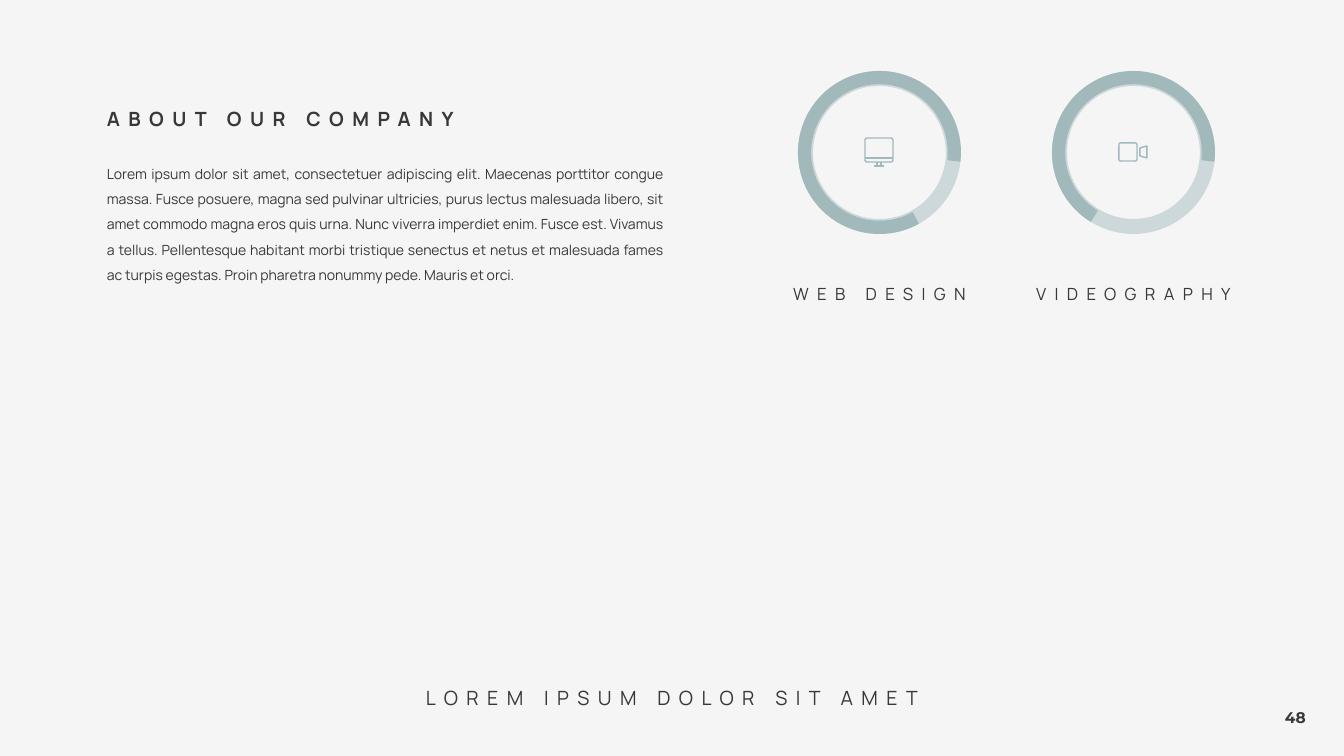
from lxml import etree
from pptx import Presentation
from pptx.dml.color import RGBColor
from pptx.enum.shapes import MSO_CONNECTOR, MSO_SHAPE
from pptx.enum.text import MSO_ANCHOR, MSO_AUTO_SIZE, PP_ALIGN
from pptx.oxml.ns import qn
from pptx.util import Pt

SLIDE_W, SLIDE_H = 1344, 756
EMU_PER_PX = 12192000 / SLIDE_W
COLORS = {"background": "F5F5F5", "ink": "38383A", "track": "CDD8DA", "accent": "A1B9BB"}
LEFT, CENTER, JUSTIFY = PP_ALIGN.LEFT, PP_ALIGN.CENTER, PP_ALIGN.JUSTIFY
TOP, MIDDLE = MSO_ANCHOR.TOP, MSO_ANCHOR.MIDDLE
FIT_SHAPE = MSO_AUTO_SIZE.SHAPE_TO_FIT_TEXT
DONUT, BLOCK_ARC = MSO_SHAPE.DONUT, MSO_SHAPE.BLOCK_ARC
ROUNDED = MSO_SHAPE.ROUNDED_RECTANGLE
STRAIGHT = MSO_CONNECTOR.STRAIGHT
ICON_LINE = Pt(1)
RING_SIZE = 163
ARC_END = 6.52

ABOUT_TEXT = (
    "Lorem ipsum dolor sit amet, consectetuer adipiscing elit. Maecenas porttitor congue "
    "massa. Fusce posuere, magna sed pulvinar ultricies, purus lectus malesuada libero, sit "
    "amet commodo magna eros quis urna. Nunc viverra imperdiet enim. Fusce est. Vivamus a "
    "tellus. Pellentesque habitant morbi tristique senectus et netus et malesuada fames ac "
    "turpis egestas. Proin pharetra nonummy pede. Mauris et orci."
)


def px(*lengths):
    return [round(length * EMU_PER_PX) for length in lengths]


def color(name):
    return RGBColor.from_string(COLORS[name])


def add_text(shapes, box, text, size, align=JUSTIFY, anchor=TOP, font="Manrope",
             bold=False, tracking=0, line_spacing=1.5, wrap=True):
    """Place one paragraph; tracking is letter spacing in points."""
    frame = shapes.add_textbox(*px(*box)).text_frame
    frame.text = text
    frame.word_wrap = wrap
    frame.auto_size = FIT_SHAPE
    frame.vertical_anchor = anchor
    paragraph = frame.paragraphs[0]
    paragraph.alignment = align
    paragraph.line_spacing = line_spacing
    run = paragraph.runs[0]
    run.font.name = font
    run.font.size = Pt(size)
    run.font.bold = bold
    run.font.color.rgb = color("ink")
    if tracking:
        run._r.get_or_add_rPr().set("spc", str(tracking * 100))


def outline(shape):
    shape.shadow.inherit = False
    shape.fill.background()
    shape.line.color.rgb = color("accent")
    shape.line.width = ICON_LINE


def add_icon_body(shapes, x, y, width, height):
    body = shapes.add_shape(ROUNDED, *px(x, y, width, height))
    body.adjustments[0] = 0.09
    outline(body)


def add_icon_stroke(shapes, *ends):
    stroke = shapes.add_connector(STRAIGHT, *px(*ends))
    stroke.line.color.rgb = color("accent")
    stroke.line.width = ICON_LINE
    etree.SubElement(stroke._element.spPr, qn("a:effectLst"))


def monitor_icon(shapes, cx, cy):
    add_icon_body(shapes, cx - 14, cy - 14, 28, 24)
    strokes = [(-14, 6, 14, 6), (-5, 14, 5, 14), (-2, 10, -2, 14), (2, 10, 2, 14)]
    for x1, y1, x2, y2 in strokes:
        add_icon_stroke(shapes, cx + x1, cy + y1, cx + x2, cy + y2)


def camera_icon(shapes, cx, cy):
    add_icon_body(shapes, cx - 14, cy - 9, 18, 18)
    corners = [(7, -4), (14, -6), (14, 6), (7, 4)]
    start, *others = [px(cx + dx, cy + dy) for dx, dy in corners]
    lens = shapes.build_freeform(*start)
    lens.add_line_segments(others, close=True)
    outline(lens.convert_to_shape())


def add_ring_part(shapes, kind, box, fill, adjustments):
    part = shapes.add_shape(kind, *px(*box))
    for index, value in enumerate(adjustments):
        part.adjustments[index] = value
    part.shadow.inherit = False
    part.fill.solid()
    part.fill.fore_color.rgb = color(fill)
    part.line.fill.background()


def service(slide, left, top, label, arc_start, draw_icon):
    """Progress ring with its icon inside and its label below; arc_start is in degrees."""
    shapes = slide.shapes.add_group_shape().shapes
    box = (left, top, RING_SIZE, RING_SIZE)
    # Angle adjustments count 60000ths of a degree, in units of 100000.
    arc = (arc_start * 0.6, ARC_END * 0.6, 0.081)
    add_ring_part(shapes, DONUT, box, "track", [0.092])
    add_ring_part(shapes, BLOCK_ARC, box, "accent", arc)
    draw_icon(shapes, left + RING_SIZE // 2, top + RING_SIZE // 2)
    add_text(shapes, (left - 50, top + 198, 263, 40), label, 12, CENTER, MIDDLE, tracking=6)


def about(slide, left, top, width):
    add_text(slide.shapes, (left, top, width, 45), "ABOUT OUR COMPANY", 14,
             bold=True, tracking=6)
    add_text(slide.shapes, (left, top + 62, width, 137), ABOUT_TEXT, 10)


def footer(slide, top):
    add_text(slide.shapes, (384, top, 576, 41), "LOREM IPSUM DOLOR SIT AMET", 14,
             CENTER, tracking=6)
    add_text(slide.shapes, (1275, top + 34, 41, 29), "48", 11, LEFT, font="Montserrat",
             bold=True, line_spacing=1.0, wrap=False)


def main():
    deck = Presentation()
    deck.slide_width, deck.slide_height = px(SLIDE_W, SLIDE_H)
    slide = deck.slides.add_slide(deck.slide_layouts[6])
    slide.background.fill.solid()
    slide.background.fill.fore_color.rgb = color("background")
    about(slide, 97, 90, 576)
    service(slide, 798, 71, "WEB DESIGN", 60.95, monitor_icon)
    service(slide, 1052, 71, "VIDEOGRAPHY", 121.56, camera_icon)
    footer(slide, 669)
    deck.save("out.pptx")


if __name__ == "__main__":
    main()
